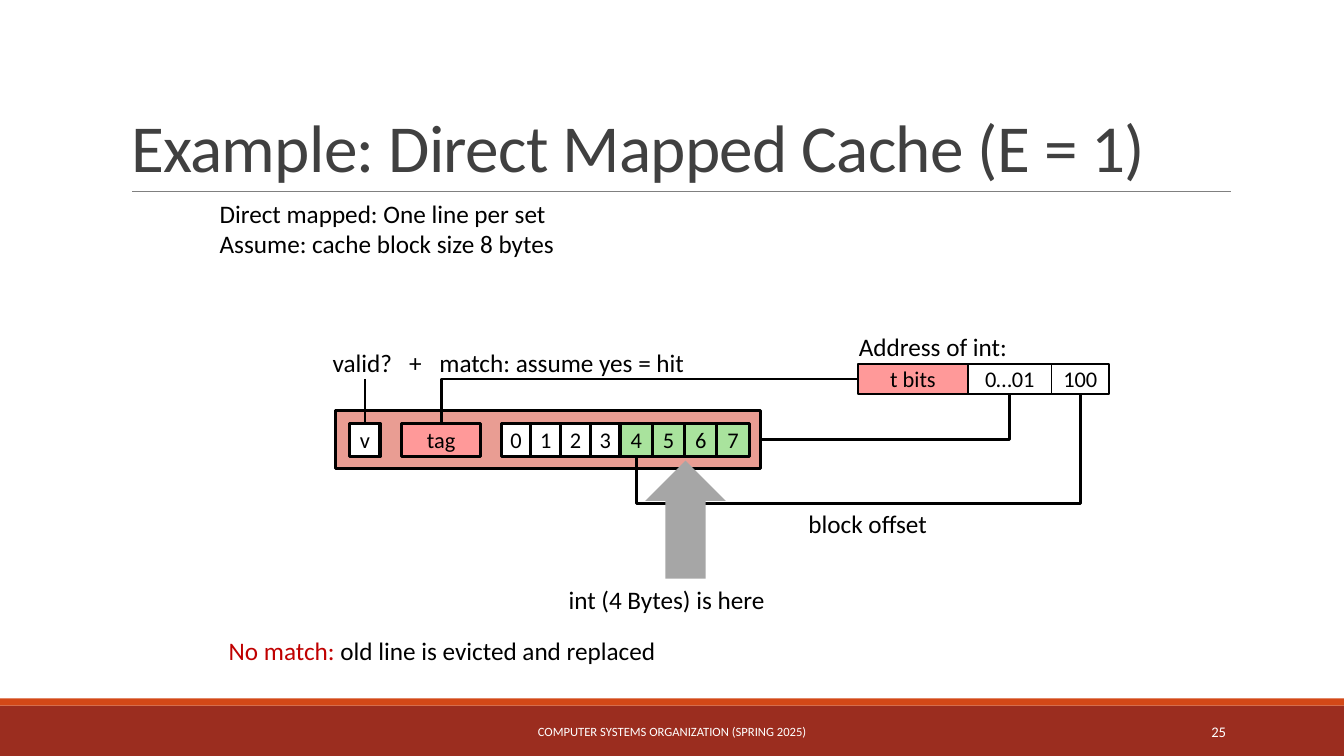
from lxml import etree
from pptx import Presentation
from pptx.dml.color import RGBColor
from pptx.enum.shapes import MSO_CONNECTOR, MSO_SHAPE
from pptx.enum.text import MSO_ANCHOR, MSO_AUTO_SIZE, PP_ALIGN
from pptx.oxml.ns import qn
from pptx.util import Inches, Pt

RECT, ARROW = MSO_SHAPE.RECTANGLE, MSO_SHAPE.UP_ARROW
LINE, ELBOW = MSO_CONNECTOR.STRAIGHT, MSO_CONNECTOR.ELBOW
LEFT, CENTER, RIGHT = PP_ALIGN.LEFT, PP_ALIGN.CENTER, PP_ALIGN.RIGHT
TOP, MIDDLE, BASE = MSO_ANCHOR.TOP, MSO_ANCHOR.MIDDLE, MSO_ANCHOR.BOTTOM
FIT, FIXED = MSO_AUTO_SIZE.SHAPE_TO_FIT_TEXT, MSO_AUTO_SIZE.NONE

BLACK = RGBColor(0x00, 0x00, 0x00)
WHITE = RGBColor(0xFF, 0xFF, 0xFF)
DARK = RGBColor(0x40, 0x40, 0x40)
GRAY = RGBColor(0x80, 0x80, 0x80)
SILVER = RGBColor(0xA6, 0xA6, 0xA6)
BRICK = RGBColor(0x9B, 0x2D, 0x1F)
ORANGE = RGBColor(0xD3, 0x48, 0x17)
SALMON = RGBColor(0xE9, 0x9D, 0x93)
PINK = RGBColor(0xFF, 0x99, 0x99)
GREEN = RGBColor(0xA9, 0xE3, 0x9D)
RED = RGBColor(0xC0, 0x00, 0x00)
FONT = "Calibri"


def add_run(para, text, size, color):
    run = para.add_run()
    run.text = text
    run.font.name, run.font.size = FONT, Pt(size)
    run.font.color.rgb = color
    return run


def add_box(slide, x, y, w, h, fill, line=0, text="", kind=RECT):
    box = slide.shapes.add_shape(kind, Inches(x), Inches(y), Inches(w), Inches(h))
    box.shadow.inherit = False
    box.fill.solid()
    box.fill.fore_color.rgb = fill
    if line:
        box.line.color.rgb, box.line.width = BLACK, Pt(line)
    else:
        box.line.fill.background()
    if text:
        frame = box.text_frame
        frame.word_wrap, frame.vertical_anchor = False, MIDDLE
        para = frame.paragraphs[0]
        para.alignment = CENTER
        add_run(para, text, 16, BLACK)
    return box


def add_label(slide, x, y, w, h, *lines, size=18, align=LEFT, anchor=TOP,
              fit=FIT, wrap=False):
    """Each line is a list of (text, color) runs."""
    box = slide.shapes.add_textbox(Inches(x), Inches(y), Inches(w), Inches(h))
    frame = box.text_frame
    frame.word_wrap, frame.auto_size, frame.vertical_anchor = wrap, fit, anchor
    for i, line in enumerate(lines):
        para = frame.add_paragraph() if i else frame.paragraphs[0]
        para.alignment = align
        for text, color in line:
            add_run(para, text, size, color)
    return box


def add_line(slide, x1, y1, x2, y2, color=BLACK, width=2, kind=LINE):
    line = slide.shapes.add_connector(
        kind, Inches(x1), Inches(y1), Inches(x2), Inches(y2))
    line.line.color.rgb, line.line.width = color, Pt(width)
    etree.SubElement(line._element.spPr, qn("a:effectLst"))
    return line


def add_elbow(slide, start, side, end, goal, kind="bentConnector2", bend=None):
    """Join two boxes; a wire from a bottom side is turned to leave downward."""
    wire = add_line(slide, 0, 0, 1, 1, kind=ELBOW)
    wire.begin_connect(start, side)
    wire.end_connect(end, goal)
    props = wire._element.spPr
    geom = props.find(qn("a:prstGeom"))
    geom.set("prst", kind)
    if bend:
        guide = etree.SubElement(geom.find(qn("a:avLst")), qn("a:gd"))
        guide.set("name", "adj1")
        guide.set("fmla", f"val {bend}")
    if side == 2:
        w, h = wire.width, wire.height
        wire.left, wire.top = wire.left + (w - h) // 2, wire.top + (h - w) // 2
        wire.width, wire.height = h, w
        xfrm = props.find(qn("a:xfrm"))
        xfrm.attrib.pop("flipH", None)
        xfrm.set("rot", "5400000")


def add_frame(slide, w, h):
    # Bottom bars and title rule
    add_box(slide, 0, h - 0.5, w, 0.5, BRICK)
    add_box(slide, 0, h - 0.57, w, 0.07, ORANGE)
    add_line(slide, 1.31, 1.9, 12.21, 1.9, GRAY, 0.5)
    # Footer and slide number
    foot = [("COMPUTER SYSTEMS ORGANIZATION (SPRING 2025)", WHITE)]
    for x, wide, line, size, align in ((4.03, 5.27, foot, 9, CENTER),
                                       (10.83, 1.43, [("25", WHITE)], 10.5, RIGHT)):
        add_label(slide, x, h - 0.44, wide, 0.4, line, size=size, align=align,
                  anchor=MIDDLE, fit=FIXED, wrap=True)


def add_title(slide, x, y, w, h):
    title = slide.shapes.title
    title.left, title.top = Inches(x), Inches(y)
    title.width, title.height = Inches(w), Inches(h)
    frame = title.text_frame
    frame.word_wrap, frame.auto_size, frame.vertical_anchor = True, FIXED, BASE
    para = frame.paragraphs[0]
    para.alignment, para.line_spacing = LEFT, 0.85
    run = add_run(para, "Example: Direct Mapped Cache (E = 1)", 48, DARK)
    run.font._element.set("spc", "-50")


def add_address(slide, x, y):
    add_label(slide, x - 0.09, y - 0.37, 1.72, 0.4, [("Address of int:", BLACK)])
    parts = []
    for text, w, fill in (("t bits", 1.09, PINK), ("0…01", 0.83, WHITE),
                          ("100", 0.57, WHITE)):
        parts.append(add_box(slide, x, y, w, 0.3, fill, 1, text))
        x += w
    return parts


def add_cache(slide, x, y):
    row = add_box(slide, x, y, 4.21, 0.58, SALMON, 2.25)
    top = y + 0.13
    valid = add_box(slide, x + 0.14, top, 0.3, 0.33, WHITE, 2.25, "v")
    tag = add_box(slide, x + 0.65, top, 0.79, 0.33, PINK, 2.25, "tag")
    # Eight bytes of the block; the int fills the last four
    cells, left = [], x + 1.64
    for i in range(8):
        w, fill = (0.295, WHITE) if i < 4 else (0.32, GREEN)
        cells.append(add_box(slide, left, top, w, 0.33, fill, 2.25, str(i)))
        left += w
    # Hit test above the line
    add_label(slide, x + 0.93, y - 0.67, 2.7, 0.4, [("match: assume yes = hit", BLACK)])
    check = add_label(slide, x - 0.13, y - 0.67, 1.12, 0.4,
                      [("valid?\t+", BLACK)], wrap=True)
    props = check.text_frame.paragraphs[0]._p.get_or_add_pPr()
    stop = etree.SubElement(etree.SubElement(props, qn("a:tabLst")), qn("a:tab"))
    stop.set("pos", str(Inches(0.76)))
    stop.set("algn", "l")
    probe = add_line(slide, x + 0.29, y - 0.31, x + 0.29, top)
    probe.end_connect(valid, 0)
    return row, tag, cells[4]


def add_wires(slide, address, cache):
    bits, index, offset = address
    row, tag, first = cache
    add_elbow(slide, index, 2, row, 3)
    add_elbow(slide, bits, 1, tag, 0)
    add_elbow(slide, offset, 2, first, 2, "bentConnector3", 175100)


def add_target(slide, x, y):
    add_box(slide, x, y, 0.8, 1.17, SILVER, kind=ARROW)
    add_label(slide, x - 0.86, y + 1.18, 2.21, 0.4, [("int (4 Bytes) is here", BLACK)])
    add_label(slide, x + 1.52, y + 0.42, 1.42, 0.4, [("block offset", BLACK)])


def add_notes(slide, x, y):
    add_label(slide, x, y, 3.61, 0.71,
              [("Direct mapped: One line per set", BLACK)],
              [("Assume: cache block size 8 bytes", BLACK)])
    add_label(slide, x + 0.09, y + 4.33, 4.49, 0.4,
              [("No match: ", RED), ("old line is evicted and replaced", BLACK)])


def main():
    deck = Presentation()
    deck.slide_width, deck.slide_height = Inches(13.33), Inches(7.5)
    slide = deck.slides.add_slide(deck.slide_layouts[5])
    add_frame(slide, 13.33, 7.5)
    add_title(slide, 1.2, 0.31, 11, 1.59)
    add_notes(slide, 2.08, 1.92)
    address = add_address(slide, 8.51, 3.61)
    cache = add_cache(slide, 3.33, 4.07)
    add_wires(slide, address, cache)
    add_target(slide, 6.4, 4.57)
    deck.save("out.pptx")


if __name__ == "__main__":
    main()
